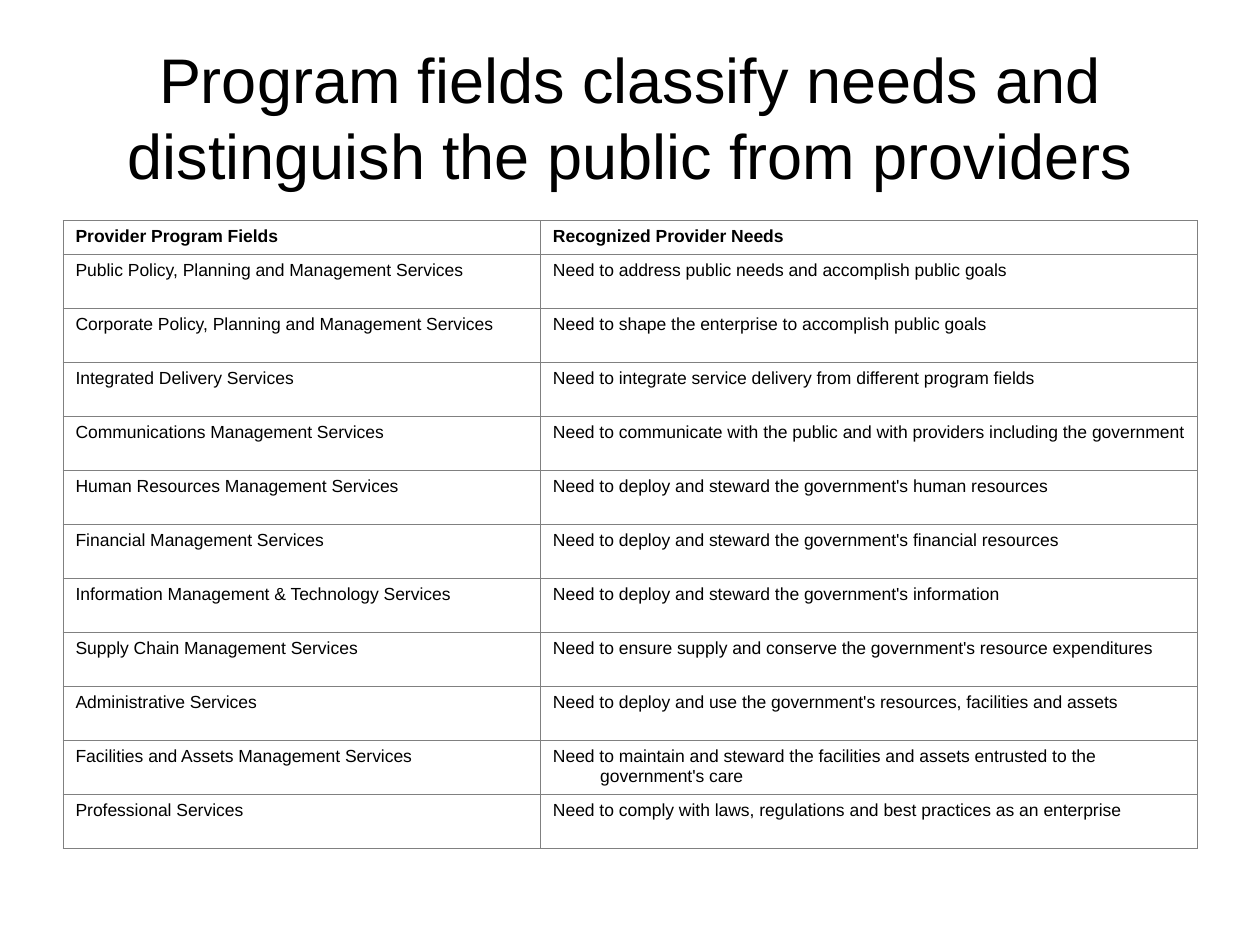
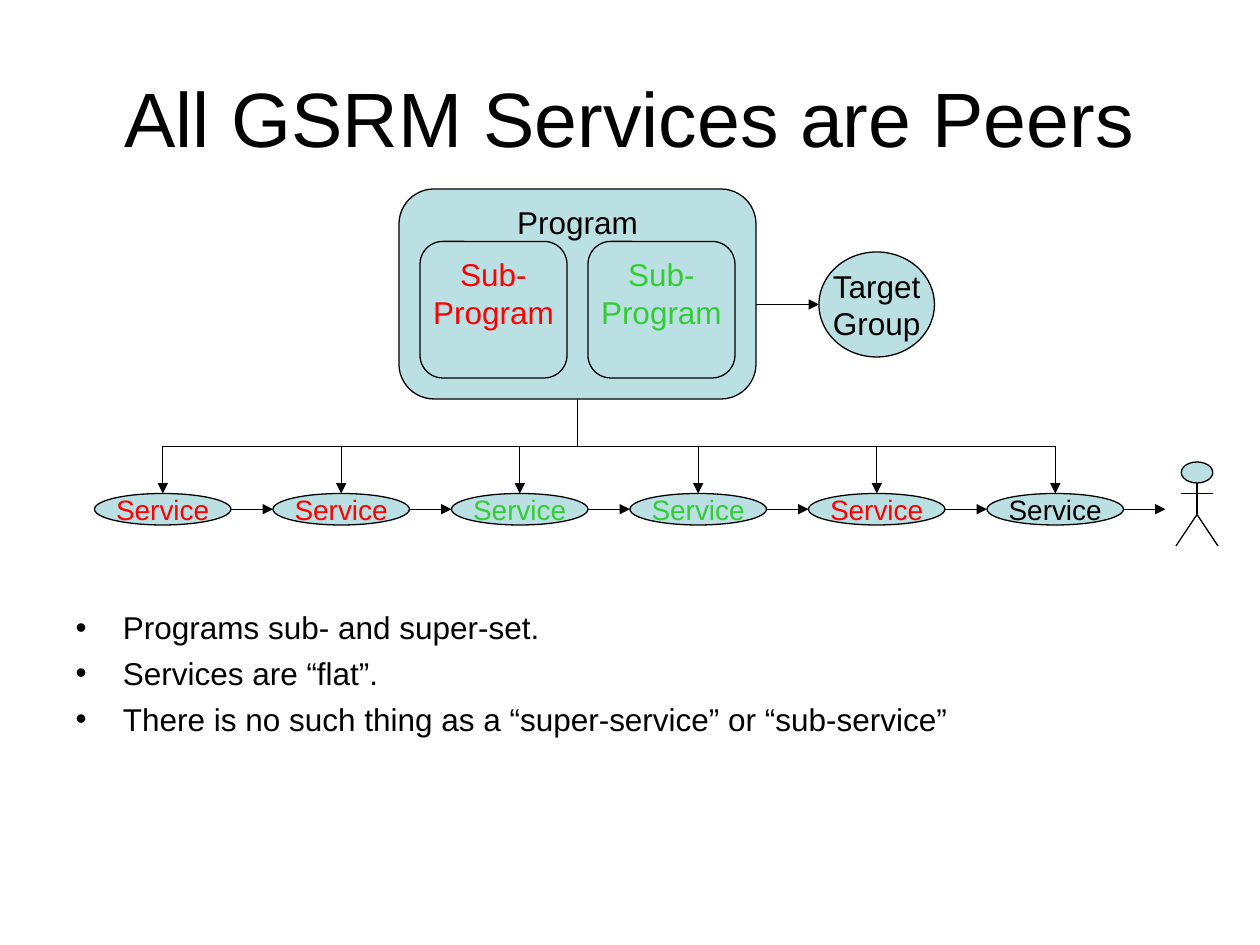
import pptx
import pptx.util
import pptx.dml.color
import pptx.enum.shapes
import pptx.enum.text
import pptx.oxml
import pptx.oxml.ns

Pt = pptx.util.Pt
SHAPE = pptx.enum.shapes.MSO_SHAPE
CONNECTOR = pptx.enum.shapes.MSO_CONNECTOR
ANCHOR = pptx.enum.text.MSO_ANCHOR
ALIGN = pptx.enum.text.PP_ALIGN
NAMESPACE = pptx.oxml.ns.nsdecls("a")
COLORS = {
    "text": "000000",
    "line": "000000",
    "fill": "BBE0E3",
    "first": "FF0000",
    "second": "33CC33",
    "border": "808080",
}


def write(frame, text, size, color="text", bold=False, align=ALIGN.LEFT,
          anchor=ANCHOR.TOP, wrap=True, hanging=0, bullet=None, space_before=0):
    """Fill a text frame, one paragraph for each line of text."""
    frame.word_wrap = wrap
    frame.vertical_anchor = anchor
    for index, line in enumerate(text.split("\n")):
        paragraph = frame.paragraphs[0] if index == 0 else frame.add_paragraph()
        properties = paragraph._p.get_or_add_pPr()
        properties.set("marL", str(Pt(hanging)))
        properties.set("indent", str(-Pt(hanging)))
        if bullet:
            properties.append(pptx.oxml.parse_xml(f'<a:buChar {NAMESPACE} char="{bullet}"/>'))
        paragraph.alignment = align
        paragraph.space_before = Pt(space_before if index else 0)
        run = paragraph.add_run()
        run.text = line
        run.font.name = "Arial"
        run.font.size = Pt(size)
        run.font.bold = bold
        run.font.color.rgb = pptx.dml.color.RGBColor.from_string(COLORS[color])


def add_line(shapes, begin, end, kind=CONNECTOR.STRAIGHT, arrow=True):
    """Draw a thin line between two points, with an arrowhead at its end."""
    connector = shapes.add_connector(kind, *[Pt(value) for value in (*begin, *end)])
    connector.line.width = Pt(0.75)
    connector.line.color.rgb = pptx.dml.color.RGBColor.from_string(COLORS["line"])
    if arrow:
        connector.line._get_or_add_ln().append(
            pptx.oxml.parse_xml(f'<a:tailEnd {NAMESPACE} type="triangle"/>'))
    connector._element.spPr.append(pptx.oxml.parse_xml(f"<a:effectLst {NAMESPACE}/>"))
    return connector


presentation = pptx.Presentation()
presentation.slide_width = Pt(720)
presentation.slide_height = Pt(540)

# Slides and their titles
slides = []
for layout, title_text, title_size in [
    (5, "Program fields classify needs and distinguish the public from providers", 36),
    (1, "All GSRM Services are Peers", 44),
]:
    slide = presentation.slides.add_slide(presentation.slide_layouts[layout])
    title = slide.shapes.title
    title.left, title.top, title.width, title.height = Pt(36), Pt(21.6), Pt(648), Pt(90)
    title.text_frame.auto_size = pptx.enum.text.MSO_AUTO_SIZE.NONE
    write(title.text_frame, title_text, title_size, align=ALIGN.CENTER, anchor=ANCHOR.MIDDLE)
    slides.append(slide)
fields_slide, peers_slide = slides

# Table of program fields and needs
field_rows = [
    ("Provider Program Fields", "Recognized Provider Needs"),
    ("Public Policy, Planning and Management Services",
     "Need to address public needs and accomplish public goals"),
    ("Corporate Policy, Planning and Management Services",
     "Need to shape the enterprise to accomplish public goals"),
    ("Integrated Delivery Services",
     "Need to integrate service delivery from different program fields"),
    ("Communications Management Services",
     "Need to communicate with the public and with providers including the government"),
    ("Human Resources Management Services",
     "Need to deploy and steward the government's human resources"),
    ("Financial Management Services",
     "Need to deploy and steward the government's financial resources"),
    ("Information Management & Technology Services",
     "Need to deploy and steward the government's information"),
    ("Supply Chain Management Services",
     "Need to ensure supply and conserve the government's resource expenditures"),
    ("Administrative Services",
     "Need to deploy and use the government's resources, facilities and assets"),
    ("Facilities and Assets Management Services",
     "Need to maintain and steward the facilities and assets entrusted to the government's care"),
    ("Professional Services",
     "Need to comply with laws, regulations and best practices as an enterprise"),
]
table = fields_slide.shapes.add_table(
    len(field_rows), 2, Pt(36), Pt(126), Pt(648), Pt(359)).table
table.horz_banding = False
table.columns[0].width = Pt(272.8)
table.columns[1].width = Pt(375.2)
for row_index, row_texts in enumerate(field_rows):
    table.rows[row_index].height = Pt(30.88 if row_index else 19.4)
    for column_index, cell_text in enumerate(row_texts):
        cell = table.cell(row_index, column_index)
        cell.margin_left = cell.margin_right = Pt(7.2)
        cell.margin_top = cell.margin_bottom = Pt(3.6)
        write(cell.text_frame, cell_text, 10, bold=row_index == 0, hanging=27)
        cell_properties = cell._tc.get_or_add_tcPr()
        for side in ("lnL", "lnR", "lnT", "lnB"):
            cell_properties.append(pptx.oxml.parse_xml(
                f'<a:{side} {NAMESPACE} w="{Pt(0.45)}"><a:solidFill>'
                f'<a:srgbClr val="{COLORS["border"]}"/></a:solidFill></a:{side}>'))
        cell.fill.background()

# Bulleted conclusions
body = peers_slide.placeholders[1]
body.left, body.top, body.width, body.height = Pt(36), Pt(344), Pt(648), Pt(138)
body.text_frame.auto_size = pptx.enum.text.MSO_AUTO_SIZE.NONE
write(body.text_frame,
      "Programs sub- and super-set.\nServices are “flat”.\n"
      "There is no such thing as a “super-service” or “sub-service”",
      18, hanging=27, bullet="•", space_before=4.5)

# Programs, target group, services and the person's head
service_left, service_top, service_step = 54, 282, 102
service_width, service_height = 78, 18
service_colors = ["first", "first", "second", "second", "first", "text"]
diagram = peers_slide.shapes
person = diagram.add_group_shape()
nodes = [
    (diagram, SHAPE.ROUNDED_RECTANGLE, (228, 108, 204, 120), "Program", 18, "text", 2),
    (diagram, SHAPE.ROUNDED_RECTANGLE, (240, 138, 84, 78), "Sub-\nProgram", 18, "first", 4),
    (diagram, SHAPE.ROUNDED_RECTANGLE, (336, 138, 84, 78), "Sub-\nProgram", 18, "second", 4),
    (diagram, SHAPE.OVAL, (468, 144, 66, 60), "Target\nGroup", 18, "text", None),
    (person.shapes, SHAPE.OVAL, (675, 264, 18, 12), "", 18, "text", None),
]
for index, color in enumerate(service_colors):
    box = (service_left + index * service_step, service_top, service_width, service_height)
    nodes.append((diagram, SHAPE.OVAL, box, "Service", 16, color, None))
for shapes, kind, box, label, size, color, top_margin in nodes:
    shape = shapes.add_shape(kind, *[Pt(value) for value in box])
    shape.shadow.inherit = False
    shape.fill.solid()
    shape.fill.fore_color.rgb = pptx.dml.color.RGBColor.from_string(COLORS["fill"])
    shape.line.color.rgb = pptx.dml.color.RGBColor.from_string(COLORS["line"])
    shape.line.width = Pt(0.75)
    if top_margin is not None:
        shape.text_frame.margin_top = Pt(top_margin)
    if label:
        write(shape.text_frame, label, size, color, align=ALIGN.CENTER, wrap=False,
              anchor=ANCHOR.MIDDLE if top_margin is None else ANCHOR.TOP)

# Elbow arrows from the program to each service, and arrows along the services
program_center, program_bottom = 330, 228
drop = service_top - program_bottom
flow_y = service_top + service_height / 2
for index in range(len(service_colors)):
    left = service_left + index * service_step
    service_center = left + service_width / 2
    spread = abs(service_center - program_center)
    frame_left = (program_center + service_center - drop) / 2
    frame_top = (program_bottom + service_top - spread) / 2
    sides = (frame_left, frame_left + drop)
    goes_right = service_center > program_center
    begin_x, end_x = sides[::-1] if goes_right else sides
    elbow = add_line(diagram, (begin_x, frame_top), (end_x, frame_top + spread), CONNECTOR.ELBOW)
    elbow._element.spPr.xfrm.set("rot", str((270 if goes_right else 90) * 60000))
    add_line(diagram, (left + service_width, flow_y), (left + service_step, flow_y))

# Arrow to the target group
add_line(diagram, (432, 174), (468, 174))

# Body, arms and legs of the person
for begin, end in [((684, 276), (684, 294)), ((675, 282), (693, 282)),
                   ((672, 312), (684, 294)), ((696, 312), (684, 294))]:
    add_line(person.shapes, begin, end, arrow=False)

presentation.save("out.pptx")
